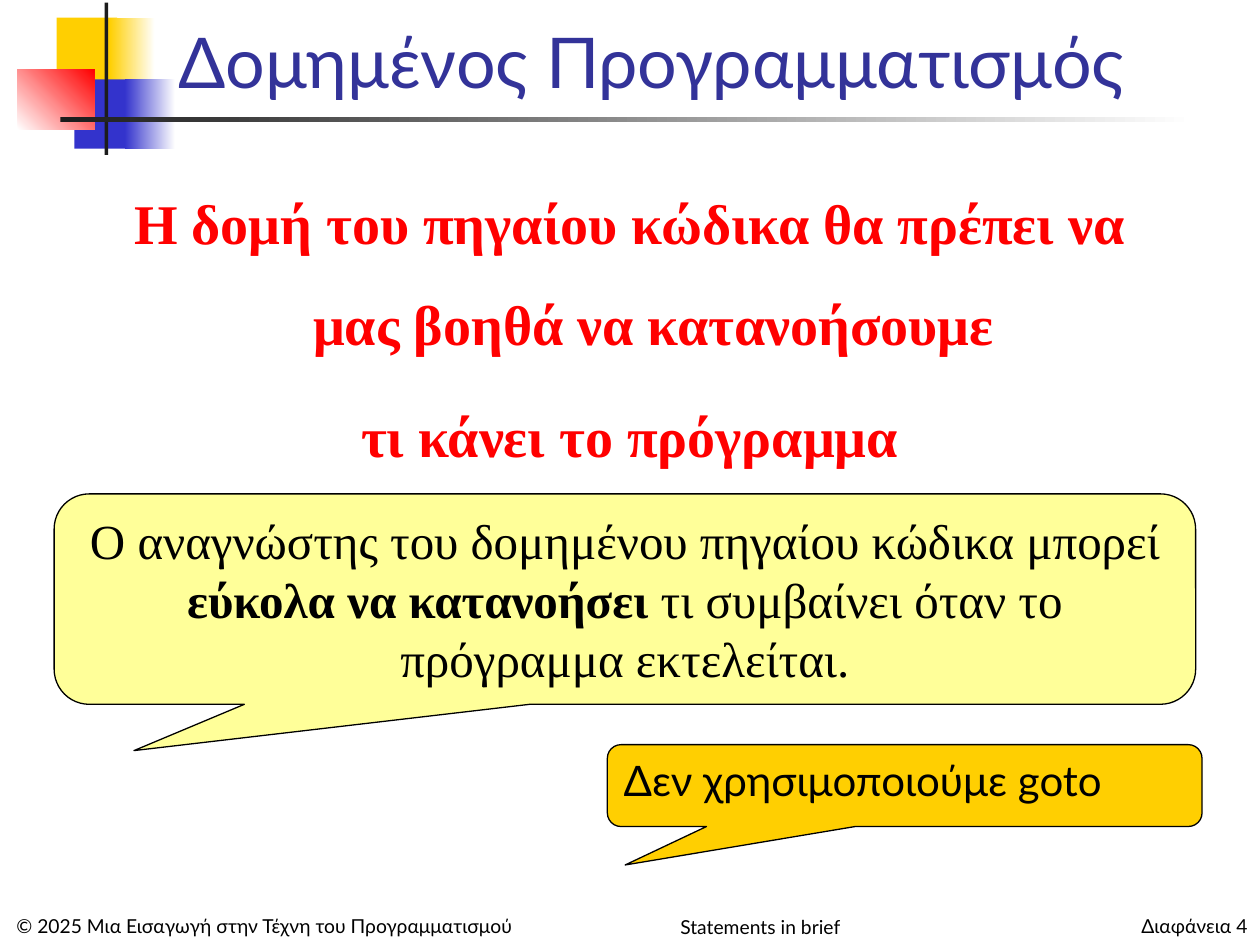
import pptx
import pptx.util
import pptx.dml.color
import pptx.enum.shapes
import pptx.enum.text

Inches = pptx.util.Inches
Pt = pptx.util.Pt
Shapes = pptx.enum.shapes.MSO_SHAPE
Align = pptx.enum.text.PP_ALIGN
Anchor = pptx.enum.text.MSO_ANCHOR

COLORS = {
    "yellow": "FFCF01", "blue": "3333CC", "red": "FF0000", "dark": "1C1C1C",
    "white": "FFFFFF", "black": "000000", "title": "333399", "pale": "FFFF99",
}
SANS, SERIF = "Lato", "Times New Roman"

DECORATION = [
    ((0.45, 0.14, 0.48, 0.55), ["yellow"], 0),
    ((0.87, 0.14, 0.36, 0.55), ["yellow", "white"], 0),
    ((0.59, 0.63, 0.46, 0.55), ["blue"], 0),
    ((0.99, 0.63, 0.40, 0.55), ["blue", "white"], 0),
    ((0.14, 0.55, 0.61, 0.48), ["white", "red"], 45),
    ((0.83, 0.02, 0.03, 1.21), ["dark"], 0),
    ((0.48, 0.93, 9, 0.04), ["dark", "white"], 0),
]

FOOTERS = [
    ((0, 7.22, 4.2, 0.26), "© 2025 Μια Εισαγωγή στην Τέχνη του Προγραμματισμού", Align.CENTER, Anchor.MIDDLE),
    ((7.94, 7.21, 2.06, 0.29), "Διαφάνεια 4", Align.RIGHT, Anchor.TOP),
    ((3.5, 7.21, 5.07, 0.3), "Statements in brief", Align.CENTER, Anchor.MIDDLE),
]

TITLE = "Δομημένος Προγραμματισμός"
STATEMENT = [
    "Η δομή του πηγαίου κώδικα θα πρέπει να μας βοηθά να κατανοήσουμε",
    "τι κάνει το πρόγραμμα",
]
READER_RUNS = [
    ("Ο αναγνώστης του δομημένου πηγαίου κώδικα μπορεί ", False),
    ("εύκολα να κατανοήσει", True),
    (" τι συμβαίνει όταν το πρόγραμμα εκτελείται.", False),
]
GOTO_RUNS = [("Δεν χρησιμοποιούμε goto", False)]


def rgb(name):
    return pptx.dml.color.RGBColor.from_string(COLORS[name])


def style(paragraph, font_name, size, color, align):
    paragraph.alignment = align
    paragraph.font.name = font_name
    paragraph.font.size = Pt(size)
    paragraph.font.color.rgb = rgb(color)


def add_block(slide, box, colors, angle):
    shape = slide.shapes.add_shape(Shapes.RECTANGLE, *map(Inches, box))
    shape.shadow.inherit = False
    shape.line.fill.background()
    if len(colors) == 1:
        shape.fill.solid()
        shape.fill.fore_color.rgb = rgb(colors[0])
    else:
        shape.fill.gradient()
        shape.fill.gradient_angle = angle
        for stop, color in zip(shape.fill.gradient_stops, colors):
            stop.color.rgb = rgb(color)


def add_text(slide, box, lines, font_name, size, color, align, anchor):
    frame = slide.shapes.add_textbox(*map(Inches, box)).text_frame
    frame.word_wrap = True
    frame.vertical_anchor = anchor
    frame.text = "\n".join(lines)
    for paragraph in frame.paragraphs:
        style(paragraph, font_name, size, color, align)
    return frame


def add_callout(slide, box, tail, fill, runs, font_name, size, align, wrap):
    shape = slide.shapes.add_shape(Shapes.ROUNDED_RECTANGULAR_CALLOUT, *map(Inches, box))
    shape.shadow.inherit = False
    shape.adjustments[0], shape.adjustments[1] = tail
    shape.fill.solid()
    shape.fill.fore_color.rgb = rgb(fill)
    shape.line.color.rgb = rgb("black")
    shape.line.width = Pt(0.75)
    frame = shape.text_frame
    frame.word_wrap = wrap
    frame.vertical_anchor = Anchor.TOP
    paragraph = frame.paragraphs[0]
    style(paragraph, font_name, size, "black", align)
    for text, bold in runs:
        run = paragraph.add_run()
        run.text = text
        run.font.bold = bold


def main():
    presentation = pptx.Presentation()
    presentation.slide_width = Inches(10)
    presentation.slide_height = Inches(7.5)
    slide = presentation.slides.add_slide(presentation.slide_layouts[6])

    for box, colors, angle in DECORATION:
        add_block(slide, box, colors, angle)
    for box, text, align, anchor in FOOTERS:
        add_text(slide, box, [text], SANS, 11, "black", align, anchor)

    add_text(slide, (1.32, 0.02, 8.52, 0.84), [TITLE], SANS, 40, "title", Align.LEFT, Anchor.BOTTOM)

    statement = add_text(slide, (0.75, 1.18, 8.5, 2.74), STATEMENT, SERIF, 32, "red", Align.CENTER, Anchor.TOP)
    for index, paragraph in enumerate(statement.paragraphs):
        paragraph.font.bold = True
        paragraph.line_spacing = 1.5
        paragraph.space_before = Pt(6.4 if index else 0)
        properties = paragraph._p.get_or_add_pPr()
        properties.set("marL", str(Inches(0.38)))
        properties.set("indent", str(Inches(-0.38)))

    add_callout(slide, (0.43, 3.92, 9.06, 1.67), (-0.43, 0.72), "pale", READER_RUNS, SERIF, 28, Align.CENTER, True)
    add_callout(slide, (4.82, 5.91, 4.72, 0.65), (-0.47, 0.97), "yellow", GOTO_RUNS, SANS, 24, Align.LEFT, False)

    presentation.save("out.pptx")


if __name__ == "__main__":
    main()
